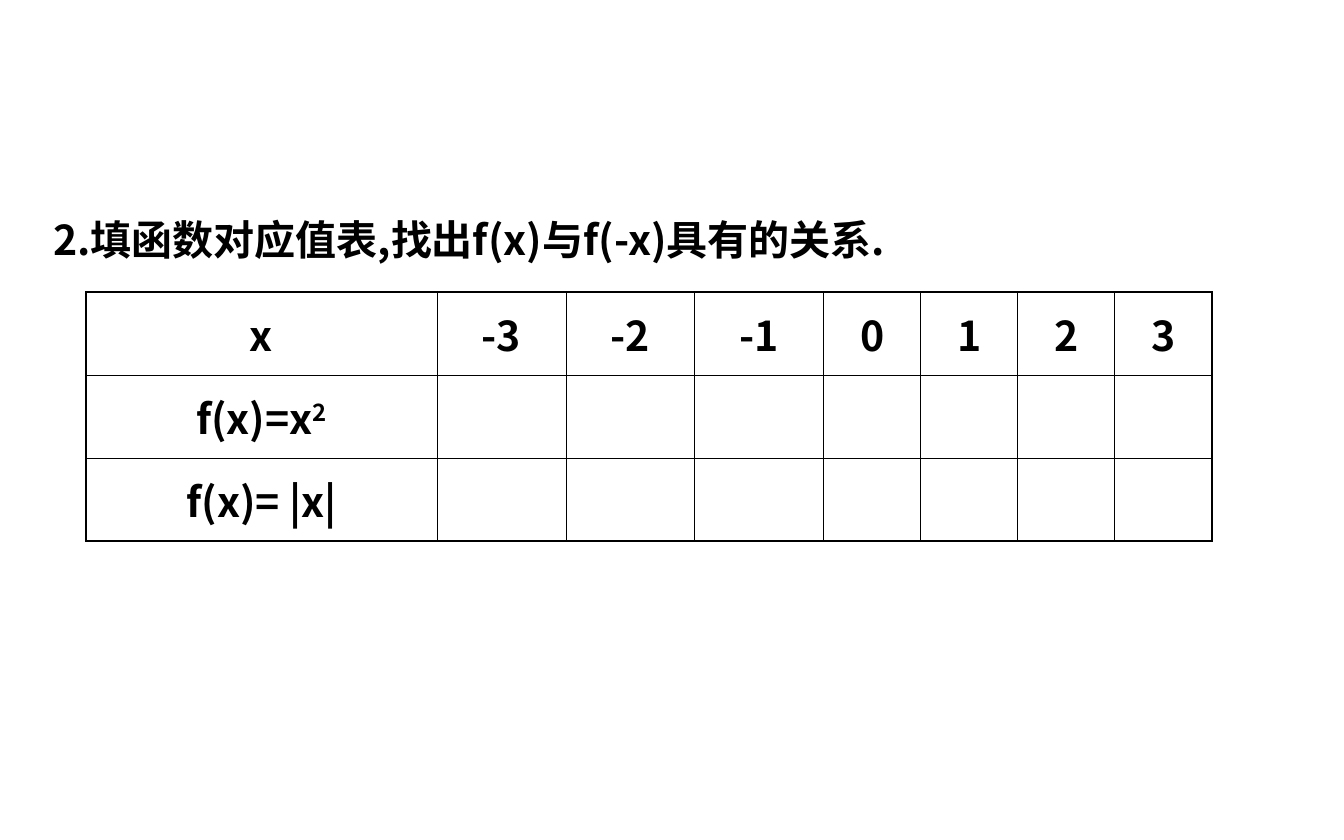
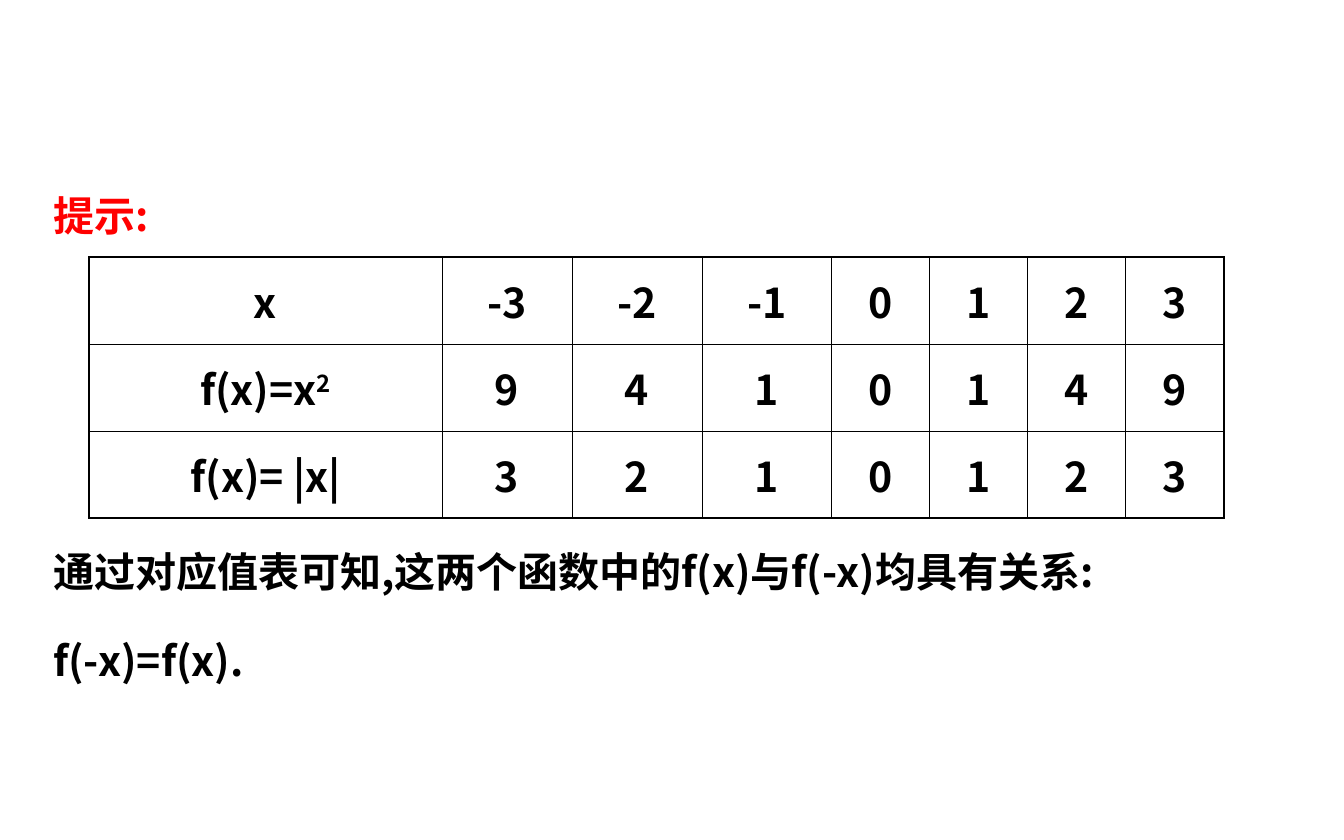
import dataclasses

import lxml.etree
import pptx
import pptx.dml.color
import pptx.enum.text
import pptx.oxml.ns
import pptx.util

PX = 914400 / 134.4  # EMU per px
BLANK_LAYOUT = 6


@dataclasses.dataclass(frozen=True)
class Theme:
    font: str = "Noto Sans CJK SC"
    size: float = 22
    ink: str = "000000"
    accent: str = "FF0000"
    line_spacing: float = 1.8
    outer_line: float = 1.08
    inner_line: float = 0.45
    superscript: int = 30000


THEME = Theme()

X_ROW = ["x", "-3", "-2", "-1", "0", "1", "2", "3"]
SQUARE = ("f(x)=x", "2")  # base and exponent
ABSOLUTE = "f(x)= |x|"


def px(n):
    return pptx.util.Emu(round(n * PX))


def add_run(p, text, color=THEME.ink, raised=False):
    r = p.add_run()
    r.text = text
    r.font.size = pptx.util.Pt(THEME.size)
    r.font.bold = True
    r.font.color.rgb = pptx.dml.color.RGBColor.from_string(color)
    r.font.name = THEME.font
    rPr = r._r.get_or_add_rPr()
    ea = lxml.etree.SubElement(rPr, pptx.oxml.ns.qn("a:ea"))
    ea.set("typeface", THEME.font)
    if raised:
        rPr.set("baseline", str(THEME.superscript))


def add_text(slide, box, lines):
    """Place lines of (text, colour, points of space before) in box."""
    sp = slide.shapes.add_textbox(*map(px, box))
    tf = sp.text_frame
    tf.word_wrap = True
    tf.auto_size = pptx.enum.text.MSO_AUTO_SIZE.SHAPE_TO_FIT_TEXT
    for i, (text, color, space) in enumerate(lines):
        p = tf.paragraphs[0] if i == 0 else tf.add_paragraph()
        p.line_spacing = THEME.line_spacing
        if space:
            p.space_before = pptx.util.Pt(space)
        add_run(p, text, color)


def set_borders(cell, widths):
    tcPr = cell._tc.get_or_add_tcPr()
    for side, width in widths.items():
        ln = lxml.etree.SubElement(tcPr, pptx.oxml.ns.qn(f"a:ln{side}"))
        ln.set("w", str(pptx.util.Pt(width)))
        fill = lxml.etree.SubElement(ln, pptx.oxml.ns.qn("a:solidFill"))
        color = lxml.etree.SubElement(fill, pptx.oxml.ns.qn("a:srgbClr"))
        color.set("val", THEME.ink)


def fill_cell(cell, content):
    cell.vertical_anchor = pptx.enum.text.MSO_ANCHOR.MIDDLE
    p = cell.text_frame.paragraphs[0]
    p.alignment = pptx.enum.text.PP_ALIGN.CENTER
    parts = (content,) if isinstance(content, str) else content
    for i, text in enumerate(parts):
        if text:
            add_run(p, text, raised=i > 0)


def add_value_table(slide, box, col_widths, rows):
    """Draw the table of function values with a heavier outer frame."""
    n_rows, n_cols = len(rows), len(col_widths)
    table = slide.shapes.add_table(n_rows, n_cols, *map(px, box)).table
    table.first_row = table.horz_banding = False
    for col, width in zip(table.columns, col_widths):
        col.width = px(width)
    for row in table.rows:
        row.height = px(box[3] / n_rows)

    def weight(outer):
        return THEME.outer_line if outer else THEME.inner_line

    for i, row in enumerate(rows):
        for j, content in enumerate(row):
            cell = table.cell(i, j)
            set_borders(cell, {
                "L": weight(j == 0),
                "R": weight(j == n_cols - 1),
                "T": weight(i == 0),
                "B": weight(i == n_rows - 1),
            })
            cell.fill.background()
            fill_cell(cell, content)


def question_slide(prs):
    slide = prs.slides.add_slide(prs.slide_layouts[BLANK_LAYOUT])
    add_text(slide, (40, 169, 1267, 102), [
        ("2.填函数对应值表,找出f(x)与f(-x)具有的关系.", THEME.ink, 0),
    ])
    blanks = [""] * 7
    add_value_table(slide, (86, 292, 1126, 249), [351] + [129] * 3 + [97] * 4,
                    [X_ROW, [SQUARE] + blanks, [ABSOLUTE] + blanks])


def hint_slide(prs):
    slide = prs.slides.add_slide(prs.slide_layouts[BLANK_LAYOUT])
    # The space before the conclusion leaves room for the table
    add_text(slide, (40, 145, 1267, 546), [
        ("提示:", THEME.accent, 0),
        ("通过对应值表可知,这两个函数中的f(x)与f(-x)均具有关系:", THEME.ink, 143),
        ("f(-x)=f(x).", THEME.ink, 0),
    ])
    xs = [int(x) for x in X_ROW[1:]]
    add_value_table(slide, (89, 257, 1133, 261), [353] + [130] * 3 + [98] * 4, [
        X_ROW,
        [SQUARE] + [str(x * x) for x in xs],
        [ABSOLUTE] + [str(abs(x)) for x in xs],
    ])


def main():
    prs = pptx.Presentation()
    prs.slide_width, prs.slide_height = px(1344), px(840)
    question_slide(prs)
    hint_slide(prs)
    prs.save("out.pptx")


if __name__ == "__main__":
    main()
